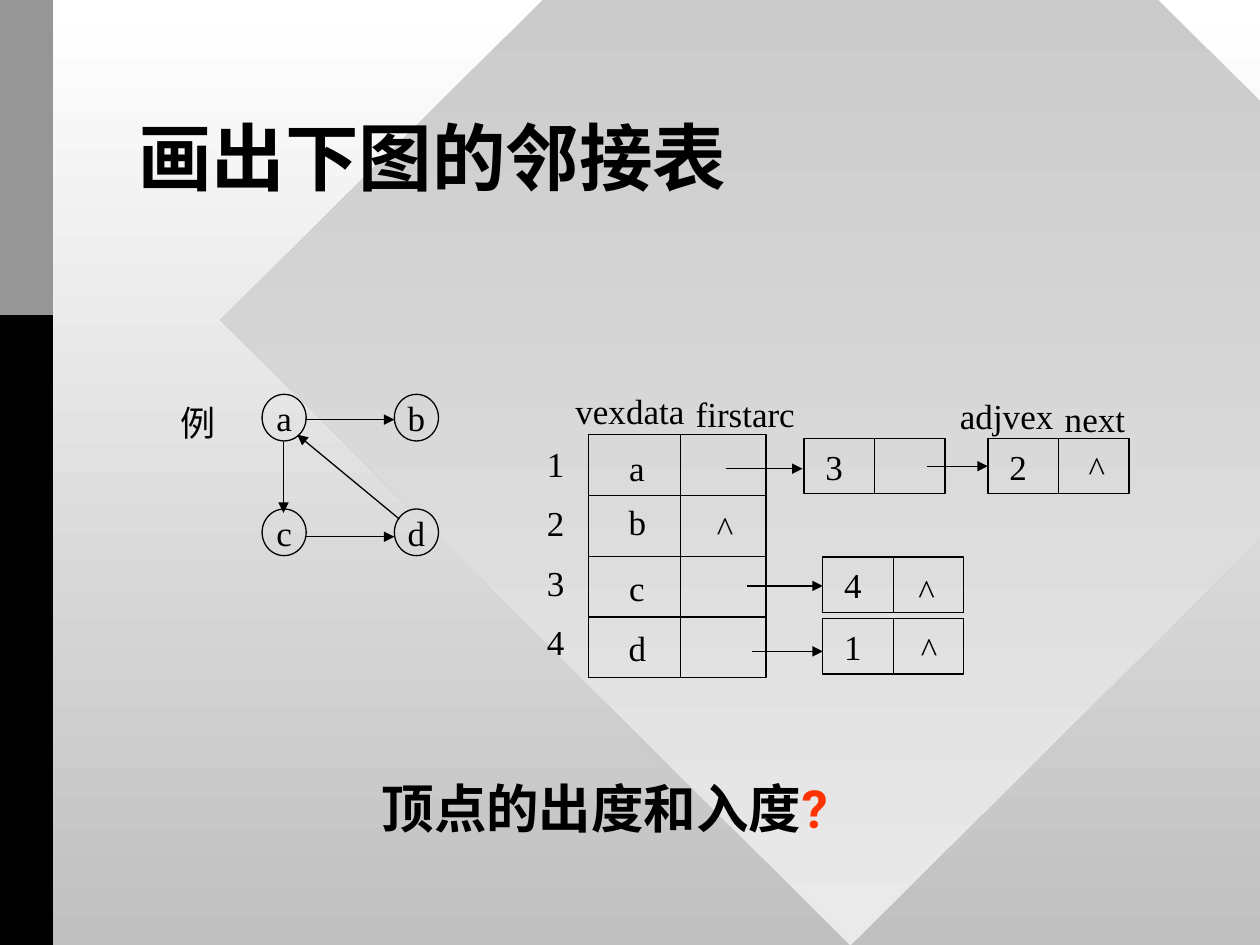
from lxml import etree
from pptx import Presentation
from pptx.dml.color import RGBColor
from pptx.enum.shapes import MSO_CONNECTOR, MSO_SHAPE
from pptx.enum.text import MSO_ANCHOR, PP_ALIGN
from pptx.oxml.ns import qn
from pptx.util import Inches, Pt

STRAIGHT = MSO_CONNECTOR.STRAIGHT
RECTANGLE, OVAL, DIAMOND = MSO_SHAPE.RECTANGLE, MSO_SHAPE.OVAL, MSO_SHAPE.DIAMOND
TOP, MIDDLE = MSO_ANCHOR.TOP, MSO_ANCHOR.MIDDLE
LEFT, CENTER = PP_ALIGN.LEFT, PP_ALIGN.CENTER

INK = RGBColor(0x01, 0x00, 0x00)
BLACK = RGBColor(0x00, 0x00, 0x00)
WHITE = RGBColor(0xFF, 0xFF, 0xFF)
SILVER = RGBColor(0xC0, 0xC0, 0xC0)
PALE = RGBColor(0xEA, 0xEA, 0xEA)
GRAY = RGBColor(0x96, 0x96, 0x96)
RED = RGBColor(0xFF, 0x33, 0x00)
HEADING_FONT, BODY_FONT = "Roboto", "Times New Roman"

SLIDE_W, SLIDE_H = 10, 7.5
TITLE = "画出下图的邻接表"
QUESTION, QUESTION_MARK = "顶点的出度和入度", "?"

# Directed graph: vertex -> (column, row); arcs as start and end points
GRAPH_X, GRAPH_Y, GRAPH_DX, GRAPH_DY = 2.08, 3.13, 1.05, 0.91
VERTEX_W, VERTEX_H = 0.35, 0.37
VERTICES = {"b": (1, 0), "d": (1, 1), "a": (0, 0), "c": (0, 1)}
ARCS = [
    (2.42, 3.33, 3.13, 3.33),
    (2.42, 4.26, 3.13, 4.26),
    (2.25, 3.51, 2.25, 4.07),
    (3.17, 4.12, 2.36, 3.45),
]

# Vertex array of the adjacency list
ARRAY_X, ARRAY_Y, ARRAY_W, ARRAY_H = 4.67, 3.45, 1.41, 1.93
ARRAY_SPLIT = 5.4
ARRAY_ROWS = [("a", 3.49), ("b", 3.92), ("c", 4.44), ("d", 4.92)]
INDEX_Y, INDEX_PITCH = 3.46, 0.47

# Arc nodes: (adjvex, left, top)
NODE_W, NODE_H = 1.12, 0.44
ARC_NODES = [("3", 6.38, 3.48), ("2", 7.84, 3.48), ("4", 6.53, 4.42), ("1", 6.53, 4.91)]
POINTERS = [(5.76, 6.37, 3.72), (7.36, 7.84, 3.7), (5.93, 6.53, 4.65), (5.97, 6.53, 5.17)]

# Single-line labels: (text, left, top, width)
LABEL_H = 0.44
LABELS = [
    ("例", 1.33, 3.13, 0.48),
    ("vexdata", 4.4, 3.04, 1.2),
    ("firstarc", 5.37, 3.06, 1.09),
    ("adjvex", 7.47, 3.08, 1.04),
    ("next", 8.3, 3.1, 0.78),
    ("^", 8.54, 3.49, 0.33),
    ("^", 7.19, 4.47, 0.33),
    ("^", 5.59, 3.97, 0.33),
    ("^", 7.21, 4.93, 0.33),
]


def set_gradient(fill, top_color, bottom_color):
    fill.gradient()
    fill.gradient_angle = 270
    for stop, color in zip(fill.gradient_stops, (top_color, bottom_color)):
        stop.color.rgb = color


def write(shape, text, size=20, font=BODY_FONT, bold=False, align=CENTER, anchor=MIDDLE, wrap=False):
    frame = shape.text_frame
    frame.word_wrap = wrap
    frame.vertical_anchor = anchor
    paragraph = frame.paragraphs[0]
    paragraph.alignment = align
    paragraph.font.size = Pt(size)
    paragraph.font.name = font
    paragraph.font.bold = bold
    paragraph.font.color.rgb = INK
    paragraph.add_run().text = text
    return paragraph


def add_box(slide, kind, left, top, width, height, outlined=True):
    box = slide.shapes.add_shape(kind, *map(Inches, (left, top, width, height)))
    box.shadow.inherit = False
    box.fill.background()
    if outlined:
        box.line.color.rgb = INK
        box.line.width = Pt(0.75)
    else:
        box.line.fill.background()
    return box


def add_text(slide, text, left, top, width, height=LABEL_H, **style):
    box = slide.shapes.add_textbox(*map(Inches, (left, top, width, height)))
    return write(box, text, **style)


def add_line(slide, x1, y1, x2, y2, arrow=False):
    line = slide.shapes.add_connector(STRAIGHT, *map(Inches, (x1, y1, x2, y2)))
    line.line.color.rgb = INK
    line.line.width = Pt(0.75)
    if arrow:
        etree.SubElement(line.line._get_or_add_ln(), qn("a:tailEnd"), type="triangle")
    etree.SubElement(line._element.spPr, qn("a:effectLst"))


def draw_backdrop(slide):
    set_gradient(slide.background.fill, WHITE, SILVER)
    diamond = add_box(slide, DIAMOND, 1.75, -2.42, 10, 9.92, outlined=False)
    set_gradient(diamond.fill, SILVER, PALE)
    for color, height in ((BLACK, SLIDE_H), (GRAY, SLIDE_H / 3)):
        band = add_box(slide, RECTANGLE, 0, 0, 0.42, height, outlined=False)
        band.fill.solid()
        band.fill.fore_color.rgb = color


def draw_graph(slide):
    for name, (column, row) in VERTICES.items():
        left, top = GRAPH_X + column * GRAPH_DX, GRAPH_Y + row * GRAPH_DY
        write(add_box(slide, OVAL, left, top, VERTEX_W, VERTEX_H), name)
    for arc in ARCS:
        add_line(slide, *arc, arrow=True)


def draw_vertex_array(slide):
    add_box(slide, RECTANGLE, ARRAY_X, ARRAY_Y, ARRAY_W, ARRAY_H)
    row_height = ARRAY_H / len(ARRAY_ROWS)
    for i, (name, top) in enumerate(ARRAY_ROWS):
        if i:
            y = ARRAY_Y + i * row_height
            add_line(slide, ARRAY_X, y, ARRAY_X + ARRAY_W, y)
        add_text(slide, str(i + 1), 4.24, INDEX_Y + i * INDEX_PITCH, 0.34)
        add_text(slide, name, 4.89, top, 0.33)
    add_line(slide, ARRAY_SPLIT, ARRAY_Y, ARRAY_SPLIT, ARRAY_Y + ARRAY_H)


def draw_arc_nodes(slide):
    for adjvex, left, top in ARC_NODES:
        node = add_box(slide, RECTANGLE, left, top, NODE_W, NODE_H)
        write(node, adjvex, align=LEFT, wrap=True)
        node.text_frame.margin_left = Inches(0.17)
        middle = left + NODE_W / 2
        add_line(slide, middle, top, middle, top + NODE_H)
    for start, end, y in POINTERS:
        add_line(slide, start, y, end, y, arrow=True)


def main():
    deck = Presentation()
    deck.slide_width, deck.slide_height = Inches(SLIDE_W), Inches(SLIDE_H)
    slide = deck.slides.add_slide(deck.slide_layouts[6])

    draw_backdrop(slide)
    heading = {"font": HEADING_FONT, "bold": True, "align": LEFT, "wrap": True}
    title = add_text(slide, TITLE, 1, 0.67, 8, 1.25, size=42, **heading)
    title.line_spacing = 0.85
    draw_graph(slide)
    draw_vertex_array(slide)
    draw_arc_nodes(slide)
    for label in LABELS:
        add_text(slide, *label)
    question = add_text(slide, QUESTION, 2.93, 6.11, 3.6, 1.11, size=30, anchor=TOP, **heading)
    mark = question.add_run()
    mark.text = QUESTION_MARK
    mark.font.color.rgb = RED

    deck.save("out.pptx")


if __name__ == "__main__":
    main()
